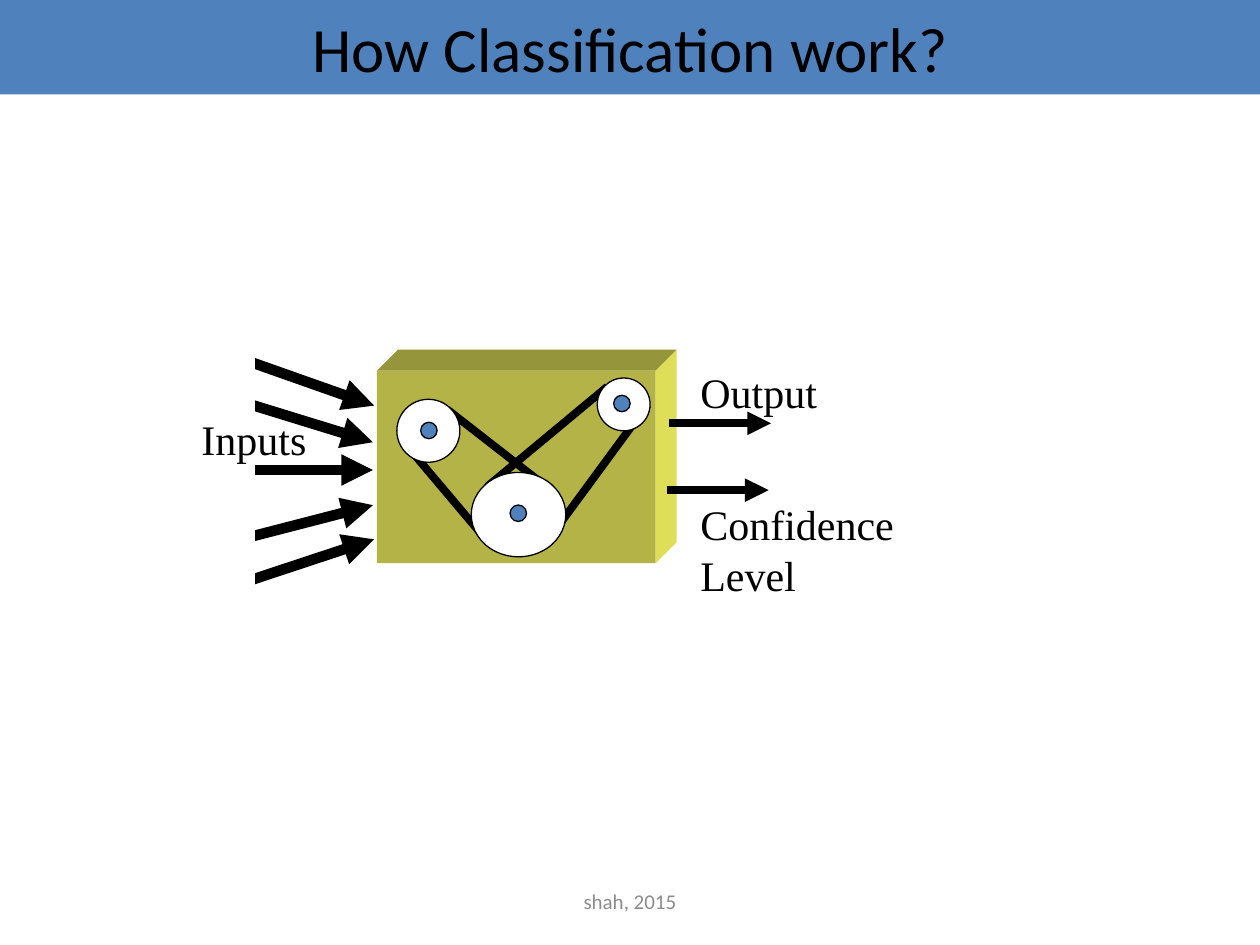
"""Build a slide that shows classification as a machine with inputs and outputs."""
import pptx
import pptx.dml.color
import pptx.enum.shapes
import pptx.enum.text
import pptx.oxml.ns
import pptx.util
from lxml import etree

Pt = pptx.util.Pt
SHAPES = pptx.enum.shapes.MSO_SHAPE
ALIGN = pptx.enum.text.PP_ALIGN
ANCHOR = pptx.enum.text.MSO_ANCHOR
FIT = pptx.enum.text.MSO_AUTO_SIZE

THEME = {
    "black": "000000", "white": "FFFFFF", "blue": "4F81BD", "gray": "8C8C8C",
    "front": "B3B347", "top": "95953B", "side": "DEDE58",
    "heading_font": "Calibri", "label_font": "Times New Roman",
    "title_size": 36, "label_size": 24, "footer_size": 12,
    "outline": 0.75, "thin": 4.5, "thick": 6,
}

SLIDE_WIDTH, SLIDE_HEIGHT = 720, 540
TITLE = ("How Classification work?", (0, 0, SLIDE_WIDTH, 54))
FOOTER = ("shah, 2015", (246, 500.4, 228, 28.8))
LABELS = [
    ("Output", (393.1, 205.9, 81.4, 36)),
    ("Confidence\nLevel", (393.1, 281.5, 125.3, 64.8)),
    ("Inputs", (108, 232.6, 74.2, 36)),
]
MACHINE = (215.4, 211.8, 159.3, 110)
DEPTH = 12
BELTS = [
    (370.1, 231.1, 310.3, 312.5),
    (347, 221, 278.6, 277.9),
    (255.6, 234, 313.9, 279.4),
    (229, 250.6, 279.4, 310.3),
]
WHEELS = [(226.8, 228.2, 36, 36), (269.3, 270, 54, 48.2), (341.3, 216, 30.2, 30.2)]
HUBS = [(240.4, 241.3), (291.5, 288.6), (350.7, 225.9)]
HUB_SIZE = 9.4
INPUTS = [
    (140.4, 205.9, 213.8, 231.8),
    (124.6, 337.7, 213.8, 308.2),
    (136.1, 229, 213.1, 252.7),
    (126.7, 311, 213.1, 288.7),
    (141.1, 268.6, 213.1, 268.6),
]
INPUT_EDGE = (111.6, 192.2, 33.8, 153.4)
OUTPUTS = [(382.3, 241.9, 440.6, 241.9), (380.9, 280.1, 439.2, 280.1)]


def color(key):
    return pptx.dml.color.RGBColor.from_string(THEME[key])


def paint(shape, fill, line=None):
    shape.shadow.inherit = False
    shape.fill.solid()
    shape.fill.fore_color.rgb = color(fill)
    if line:
        shape.line.color.rgb = color(line)
        shape.line.width = Pt(THEME["outline"])
    else:
        shape.line.fill.background()


def add_block(slide, kind, box, fill, line=None):
    block = slide.shapes.add_shape(kind, *map(Pt, box))
    paint(block, fill, line)
    return block


def add_face(slide, corners, fill):
    points = [(Pt(x), Pt(y)) for x, y in corners]
    outline = slide.shapes.build_freeform(*points[0], scale=1.0)
    outline.add_line_segments(points[1:], close=True)
    paint(outline.convert_to_shape(), fill)


def add_line(slide, ends, width, arrow=False):
    line = slide.shapes.add_connector(
        pptx.enum.shapes.MSO_CONNECTOR.STRAIGHT, *map(Pt, ends))
    line.line.color.rgb = color("black")
    line.line.width = Pt(THEME[width])
    qn = pptx.oxml.ns.qn
    if arrow:
        etree.SubElement(line.line._get_or_add_ln(), qn("a:tailEnd"), type="triangle")
    etree.SubElement(line._element.spPr, qn("a:effectLst"))


def write(shape, text, font, size, ink, align=ALIGN.LEFT, anchor=ANCHOR.TOP, wrap=True):
    frame = shape.text_frame
    frame.text = text
    frame.word_wrap = wrap
    frame.auto_size = FIT.NONE if wrap else FIT.SHAPE_TO_FIT_TEXT
    frame.vertical_anchor = anchor
    for paragraph in frame.paragraphs:
        paragraph.alignment = align
        for run in paragraph.runs:
            run.font.name = THEME[font]
            run.font.size = Pt(THEME[size])
            run.font.color.rgb = color(ink)


def draw_machine(slide):
    left, top, width, height = MACHINE
    right, bottom = left + width, top + height
    back_right, back_top = right + DEPTH, top - DEPTH
    add_block(slide, SHAPES.RECTANGLE, MACHINE, "front")
    add_face(slide, [(left, top), (left + DEPTH, back_top),
                     (back_right, back_top), (right, top)], "top")
    add_face(slide, [(right, top), (back_right, back_top),
                     (back_right, bottom - DEPTH), (right, bottom)], "side")
    for belt in BELTS:
        add_line(slide, belt, "thin")
    for wheel in WHEELS:
        add_block(slide, SHAPES.OVAL, wheel, "white", "black")
    for hub in HUBS:
        add_block(slide, SHAPES.OVAL, (*hub, HUB_SIZE, HUB_SIZE), "blue", "black")


def main():
    deck = pptx.Presentation()
    deck.slide_width, deck.slide_height = Pt(SLIDE_WIDTH), Pt(SLIDE_HEIGHT)
    slide = deck.slides.add_slide(deck.slide_layouts[6])

    draw_machine(slide)
    for arrow in INPUTS:
        add_line(slide, arrow, "thick", arrow=True)
    add_block(slide, SHAPES.RECTANGLE, INPUT_EDGE, "white", "white")
    for arrow in OUTPUTS:
        add_line(slide, arrow, "thin", arrow=True)
    for text, box in LABELS:
        label = slide.shapes.add_textbox(*map(Pt, box))
        write(label, text, "label_font", "label_size", "black", wrap=False)

    heading, box = TITLE
    banner = add_block(slide, SHAPES.RECTANGLE, box, "blue")
    write(banner, heading, "heading_font", "title_size", "black",
          ALIGN.CENTER, ANCHOR.MIDDLE)
    credit, box = FOOTER
    footer = slide.shapes.add_textbox(*map(Pt, box))
    write(footer, credit, "heading_font", "footer_size", "gray",
          ALIGN.CENTER, ANCHOR.MIDDLE)
    deck.save("out.pptx")


if __name__ == "__main__":
    main()
